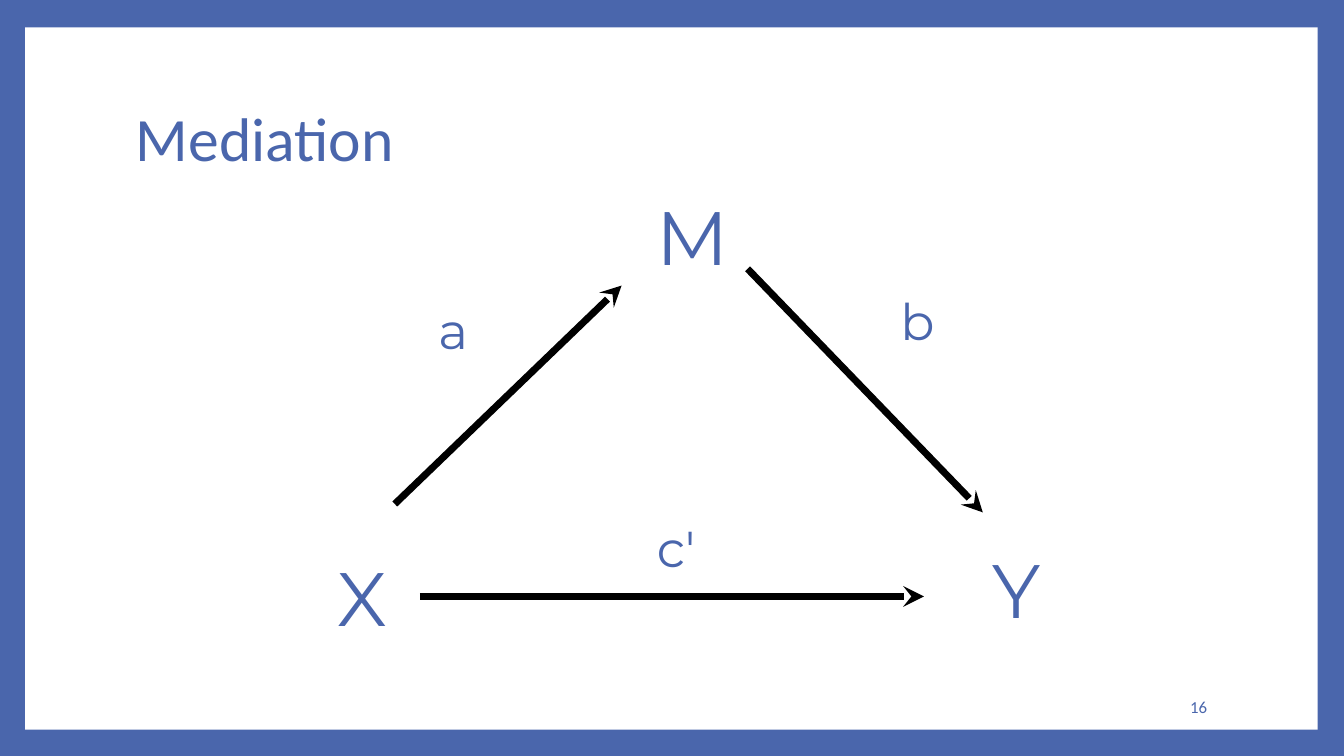
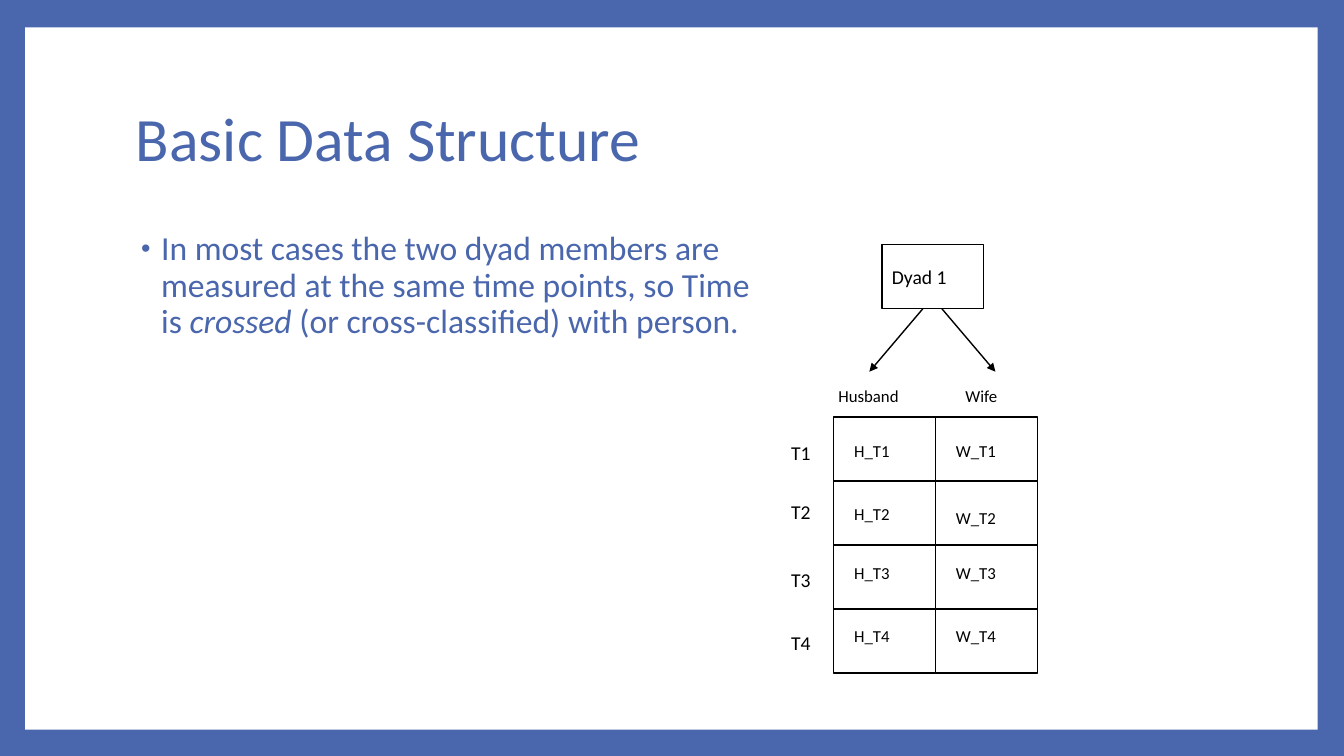
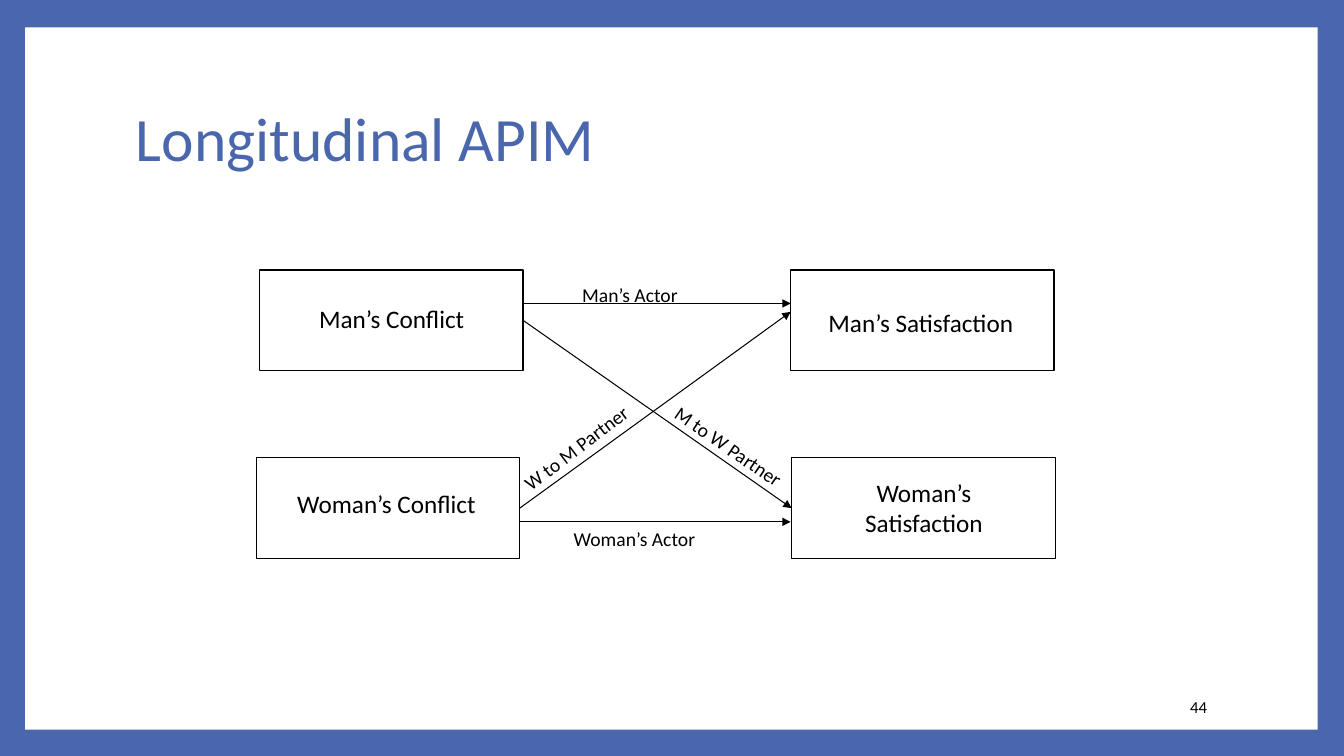
import dataclasses
from typing import Any, Optional

import lxml.etree
import pptx
import pptx.dml.color
import pptx.enum.shapes
import pptx.enum.text
import pptx.oxml.ns
import pptx.presentation
import pptx.shapes.autoshape
import pptx.shapes.connector
import pptx.slide
import pptx.util

ALIGN = pptx.enum.text.PP_ALIGN
ANCHOR = pptx.enum.text.MSO_ANCHOR
RECT = pptx.enum.shapes.MSO_SHAPE.RECTANGLE
STRAIGHT = pptx.enum.shapes.MSO_CONNECTOR.STRAIGHT
LEFT_SIDE, RIGHT_SIDE = 1, 3
EMU_PER_PX = 9525  # 96 px to the inch


@dataclasses.dataclass(frozen=True)
class Style:
    size: int
    color: str
    font: str = "Calibri"
    outline: Optional[str] = None


@dataclasses.dataclass(frozen=True)
class Theme:
    blue: str = "4A66AC"
    black: str = "000000"
    white: str = "FFFFFF"
    title: Style = Style(44, "4A66AC")
    body: Style = Style(24, "4A66AC")
    variable: Style = Style(54, "4A66AC", "Montserrat", "4A66AC")
    path_name: Style = Style(36, "4A66AC", "Montserrat", "000000")
    box: Style = Style(18, "000000")
    label: Style = Style(14, "000000")
    small: Style = Style(12, "000000")
    small_blue: Style = Style(12, "4A66AC")
    thin: float = 0.75
    medium: float = 1
    thick: float = 5


THEME = Theme()


@dataclasses.dataclass(frozen=True)
class Box:
    x: int
    y: int
    w: int
    h: int


@dataclasses.dataclass(frozen=True)
class Label:
    text: str
    box: Box
    style: Style
    align: Any = ALIGN.LEFT
    anchor: Any = ANCHOR.TOP
    wrap: bool = True
    rotation: float = 0


@dataclasses.dataclass(frozen=True)
class Arrow:
    x1: int
    y1: int
    x2: int
    y2: int
    width: float
    head: str = "triangle"


# Helpers

def px(n: int) -> pptx.util.Emu:
    return pptx.util.Emu(n * EMU_PER_PX)


def rgb(color: str) -> pptx.dml.color.RGBColor:
    return pptx.dml.color.RGBColor.from_string(color)


def sub(parent: Any, tag: str, **attrs: str) -> Any:
    return lxml.etree.SubElement(parent, pptx.oxml.ns.qn(tag), attrs)


def place(box: Box) -> tuple:
    return px(box.x), px(box.y), px(box.w), px(box.h)


def add_run(p: Any, text: str, style: Style, italic: bool = False) -> None:
    r = p.add_run()
    r.text = text
    r.font.size = pptx.util.Pt(style.size)
    r.font.name = style.font
    r.font.color.rgb = rgb(style.color)
    r.font.italic = italic
    if style.outline:
        r_pr = r.font._element
        ln = sub(r_pr, "a:ln", w=str(pptx.util.Pt(THEME.thin)))
        sub(sub(ln, "a:solidFill"), "a:srgbClr", val=style.outline)
        r_pr.insert(0, ln)


def add_label(s: pptx.slide.Slide, label: Label) -> Any:
    """Add a text box and return its paragraph."""
    sp = s.shapes.add_textbox(*place(label.box))
    sp.rotation = label.rotation
    tf = sp.text_frame
    tf.word_wrap = label.wrap
    tf.vertical_anchor = label.anchor
    p = tf.paragraphs[0]
    p.alignment = label.align
    if label.text:
        add_run(p, label.text, label.style)
    return p


def add_rect(s: pptx.slide.Slide, box: Box,
             fill: Optional[str] = None) -> pptx.shapes.autoshape.Shape:
    """Add a filled panel, or a black outline when no fill is given."""
    sp = s.shapes.add_shape(RECT, *place(box))
    sp.shadow.inherit = False
    if fill:
        sp.fill.solid()
        sp.fill.fore_color.rgb = rgb(fill)
        sp.line.fill.background()
    else:
        sp.fill.background()
        sp.line.color.rgb = rgb(THEME.black)
        sp.line.width = pptx.util.Pt(THEME.medium)
    return sp


def add_arrow(s: pptx.slide.Slide, arrow: Arrow) -> pptx.shapes.connector.Connector:
    cx = s.shapes.add_connector(STRAIGHT, px(arrow.x1), px(arrow.y1),
                                px(arrow.x2), px(arrow.y2))
    cx.line.color.rgb = rgb(THEME.black)
    cx.line.width = pptx.util.Pt(arrow.width)
    sub(cx.line._get_or_add_ln(), "a:tailEnd", type=arrow.head)
    sub(cx._element.spPr, "a:effectLst")
    return cx


def add_slide(prs: pptx.presentation.Presentation, title: str,
              number: str = "", number_style: Style = THEME.small) -> pptx.slide.Slide:
    """Add a slide with the white panel, the title and the page number."""
    s = prs.slides.add_slide(prs.slide_layouts[6])
    add_rect(s, Box(24, 26, 1231, 669), THEME.white)
    p = add_label(s, Label(title, Box(120, 64, 1037, 142), THEME.title,
                           anchor=ANCHOR.MIDDLE))
    p.line_spacing = 0.9
    if number:
        add_label(s, Label(number, Box(979, 654, 180, 38), number_style,
                           ALIGN.RIGHT, ANCHOR.MIDDLE))
    return s


# Slides

def mediation_slide(prs: pptx.presentation.Presentation) -> None:
    s = add_slide(prs, "Mediation", "16", THEME.small_blue)
    for text, x, y in (("X", 312, 520), ("Y", 936, 512), ("M", 616, 176)):
        add_label(s, Label(text, Box(x, y, 56, 101), THEME.variable,
                           ALIGN.CENTER, wrap=False))
    for text, x, y, w in (("a", 408, 280, 40), ("b", 848, 272, 48), ("c'", 616, 488, 56)):
        add_label(s, Label(text, Box(x, y, w, 68), THEME.path_name,
                           ALIGN.CENTER, wrap=False))
    for ends in ((400, 568, 880, 568), (376, 480, 592, 272), (712, 256, 936, 488)):
        add_arrow(s, Arrow(*ends, THEME.thick, "stealth"))


def data_structure_slide(prs: pptx.presentation.Presentation) -> None:
    s = add_slide(prs, "Basic Data Structure")

    # Bullet text
    p = add_label(s, Label("", Box(120, 216, 606, 424), THEME.body))
    p.line_spacing = 0.9
    p.space_before = pptx.util.Pt(14)
    p_pr = p._p.get_or_add_pPr()
    p_pr.set("marL", str(px(24)))
    p_pr.set("indent", str(px(-19)))
    sub(sub(p_pr, "a:buClr"), "a:srgbClr", val=THEME.blue)
    sub(p_pr, "a:buSzPct", val="80000")
    sub(p_pr, "a:buFont", typeface="Arial")
    sub(p_pr, "a:buChar", char="•")
    add_run(p, "In most cases the two dyad members are measured at the same "
               "time points, so Time is ", THEME.body)
    add_run(p, "crossed", THEME.body, italic=True)
    add_run(p, " (or cross-classified) with person.", THEME.body)

    # Dyad and its two members
    cell_w, cell_h = 97, 61
    add_rect(s, Box(840, 233, cell_w, cell_h))
    add_label(s, Label("Dyad 1", Box(840, 248, cell_w, 34), THEME.label))
    for ends in ((879, 294, 828, 354), (897, 294, 948, 354)):
        add_arrow(s, Arrow(*ends, THEME.medium))
    for text, x in (("Husband", 789), ("Wife", 910)):
        add_label(s, Label(text, Box(x, 363, 96, 32), THEME.small))

    # Time points by member: y of the row name, husband's and wife's labels
    label_tops = ((415, 415, 415), (471, 475, 479), (536, 531, 531), (596, 591, 591))
    for row, (name_y, *cell_tops) in enumerate(label_tops):
        time = f"T{row + 1}"
        add_label(s, Label(time, Box(744, name_y, 48, 34), THEME.label))
        for col, (member, label_y) in enumerate(zip("HW", cell_tops)):
            x = 794 + col * cell_w
            add_rect(s, Box(x, 397 + row * cell_h, cell_w, cell_h))
            add_label(s, Label(f"{member}_{time}", Box(x + 10, label_y, 72, 32),
                               THEME.small))


def apim_slide(prs: pptx.presentation.Presentation) -> None:
    s = add_slide(prs, "Longitudinal APIM", "44")

    # Variables: box corner and label box
    variables = (
        ("Man’s Conflict", 247, 257, Box(249, 284, 248, 38)),
        ("Woman’s Conflict", 244, 436, Box(247, 460, 242, 38)),
        ("Man’s Satisfaction", 753, 257, Box(769, 288, 216, 38)),
        ("Woman’s Satisfaction", 754, 436, Box(771, 449, 218, 68)),
    )
    boxes = {}
    for text, x, y, label_box in variables:
        boxes[text] = add_rect(s, Box(x, y, 251, 96))
        add_label(s, Label(text, label_box, THEME.box, ALIGN.CENTER, ANCHOR.MIDDLE))

    # Actor and partner paths
    man_to_woman, woman_to_man, *_ = [
        add_arrow(s, Arrow(*ends, THEME.thin))
        for ends in ((497, 303, 753, 484), (494, 484, 753, 297),
                     (497, 289, 753, 289), (494, 497, 753, 497))
    ]
    man_to_woman.begin_connect(boxes["Man’s Conflict"], RIGHT_SIDE)
    man_to_woman.end_connect(boxes["Woman’s Satisfaction"], LEFT_SIDE)
    woman_to_man.begin_connect(boxes["Woman’s Conflict"], RIGHT_SIDE)

    for text, x, y, h, rotation in (
        ("W to M Partner", 484, 388, 66, 323),
        ("Man’s Actor", 545, 265, 32, 0),
        ("Woman’s Actor", 537, 497, 32, 0),
        ("M to W Partner", 620, 427, 32, 34.3),
    ):
        add_label(s, Label(text, Box(x, y, 200, h), THEME.label, rotation=rotation))


def main() -> None:
    prs = pptx.Presentation()
    prs.slide_width, prs.slide_height = px(1280), px(720)
    fill = prs.slide_master.background.fill
    fill.solid()
    fill.fore_color.rgb = rgb(THEME.blue)
    mediation_slide(prs)
    data_structure_slide(prs)
    apim_slide(prs)
    prs.save("out.pptx")


if __name__ == "__main__":
    main()
